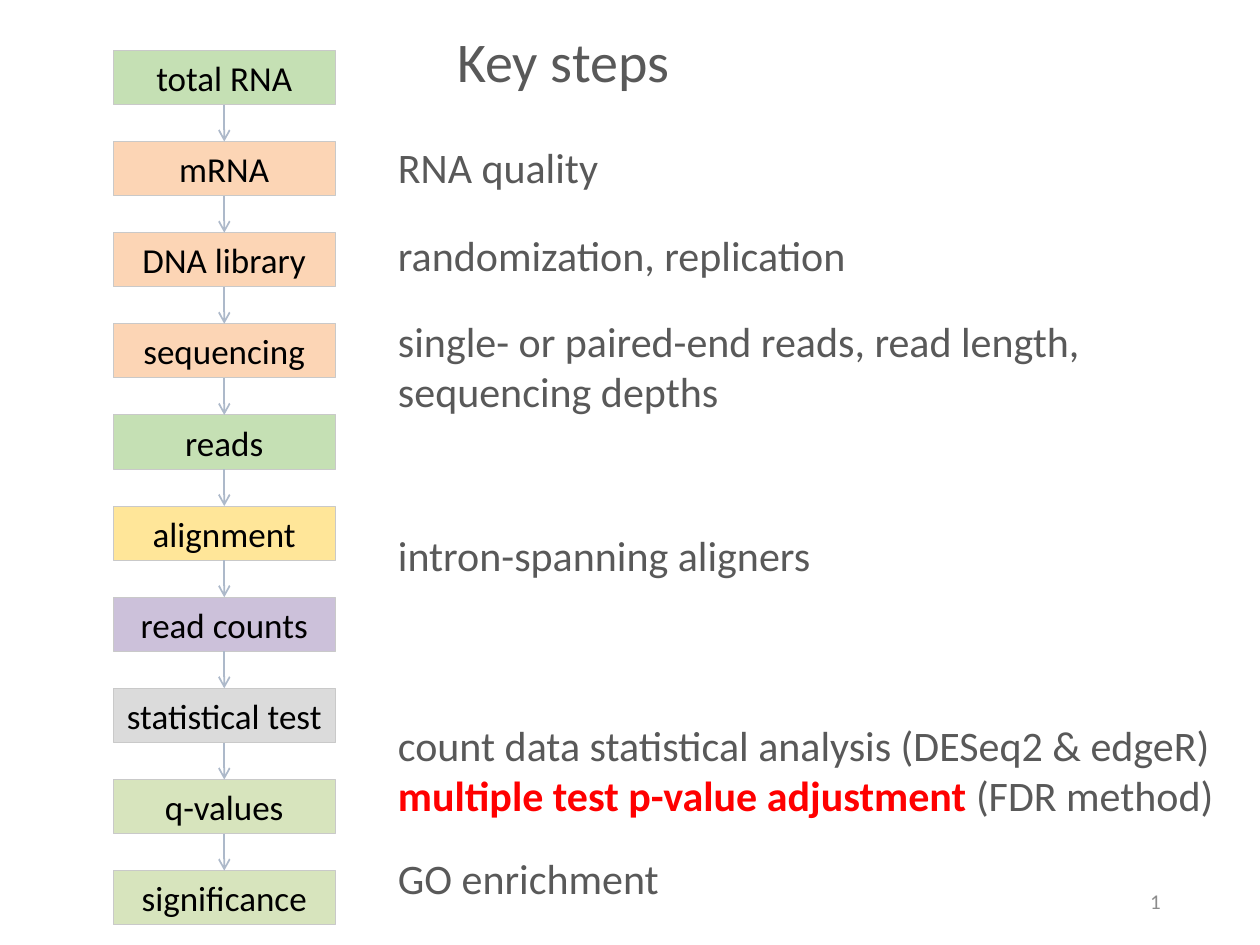
import pptx
import pptx.dml.color
import pptx.enum.shapes
import pptx.enum.text
import pptx.oxml
import pptx.oxml.ns
import pptx.util
from pptx.util import Inches

ALIGN = pptx.enum.text.PP_ALIGN
ANCHOR = pptx.enum.text.MSO_ANCHOR
GREY, RED, BLACK = "595959", "FF0000", "000000"
BOX_LINE, ARROW_LINE = "C9C9C9", "ADB9CA"
GREEN, ORANGE, YELLOW = "C5E0B4", "FCD5B5", "FFE699"
PURPLE, SILVER, OLIVE = "CCC1DA", "DBDBDB", "D7E4BD"

STEPS = [
    ("total RNA", GREEN), ("mRNA", ORANGE), ("DNA library", ORANGE),
    ("sequencing", ORANGE), ("reads", GREEN), ("alignment", YELLOW),
    ("read counts", PURPLE), ("statistical test", SILVER),
    ("q-values", OLIVE), ("significance", OLIVE),
]
STEP_LEFT, STEP_TOP, STEP_WIDTH, STEP_HEIGHT = 0.9, 0.4, 1.76, 0.43
STEP_PITCH = (6.91 - STEP_TOP) / (len(STEPS) - 1)

# Top, width, height and paragraphs; a paragraph is a list of (text, format) runs
NOTE_LEFT = 3.06
NOTES = [
    (1.07, 5, 0.5, [[("RNA quality", {})]]),
    (1.71, 5.85, 0.63, [[("randomization, replication", {})]]),
    (2.39, 6.81, 1.02, [[("single- or paired-end reads, read length,", {})],
                        [("sequencing depths", {})]]),
    (4, 6.04, 0.81, [[("intron-spanning aligners", {})]]),
    (5.6, 6.81, 1.02, [
        [("count data statistical analysis (DESeq2 & edgeR)", {})],
        [("multiple test p-value adjustment ", {"color": RED, "bold": True}),
         ("(FDR method)", {})]]),
    (6.74, 6.81, 0.45, [[("GO enrichment", {})]]),
]


def rgb(value):
    return pptx.dml.color.RGBColor.from_string(value)


def set_attributes(target, values):
    for name, value in values.items():
        setattr(target, name, value)


class SlideBuilder:
    font_name = "Calibri"

    def __init__(self, slide):
        self.slide = slide

    def fill_text(self, shape, paragraphs, size, color, frame_format,
                  paragraph_format):
        frame = shape.text_frame
        set_attributes(frame, {"word_wrap": True,
                               "vertical_anchor": ANCHOR.MIDDLE, **frame_format})
        for index, runs in enumerate(paragraphs):
            paragraph = frame.add_paragraph() if index else frame.paragraphs[0]
            set_attributes(paragraph, paragraph_format)
            for text, run_format in runs:
                run = paragraph.add_run()
                run.text = text
                values = {"color": color, "bold": False, **run_format}
                run.font.color.rgb = rgb(values.pop("color"))
                set_attributes(run.font, {"name": self.font_name,
                                          "size": pptx.util.Pt(size), **values})

    def step(self, left, top, width, height, text, fill):
        shape = self.slide.shapes.add_shape(
            pptx.enum.shapes.MSO_SHAPE.RECTANGLE,
            Inches(left), Inches(top), Inches(width), Inches(height))
        shape.shadow.inherit = False
        shape.fill.solid()
        shape.fill.fore_color.rgb = rgb(fill)
        shape.line.color.rgb = rgb(BOX_LINE)
        shape.line.width = pptx.util.Pt(0.5)
        margins = {f"margin_{side}": 0 for side in ("left", "top", "right", "bottom")}
        self.fill_text(shape, [[(text, {})]], 20, BLACK, margins,
                       {"alignment": ALIGN.CENTER})
        return shape

    def arrow(self, upper, lower):
        connector = self.slide.shapes.add_connector(
            pptx.enum.shapes.MSO_CONNECTOR.STRAIGHT, 0, 0, 0, 0)
        connector.begin_connect(upper, 2)
        connector.end_connect(lower, 0)
        connector.line.color.rgb = rgb(ARROW_LINE)
        connector.line.width = pptx.util.Pt(1)
        line = connector.line._get_or_add_ln()
        line.append(pptx.oxml.parse_xml(
            f'<a:tailEnd {pptx.oxml.ns.nsdecls("a")} type="arrow"/>'))
        line.addnext(pptx.oxml.parse_xml(
            f'<a:effectLst {pptx.oxml.ns.nsdecls("a")}/>'))

    def text(self, left, top, width, height, paragraphs, size=24, color=GREY,
             **paragraph_format):
        box = self.slide.shapes.add_textbox(
            Inches(left), Inches(top), Inches(width), Inches(height))
        self.fill_text(box, paragraphs, size, color, {}, paragraph_format)


def main():
    presentation = pptx.Presentation()
    presentation.slide_width = Inches(10)
    presentation.slide_height = Inches(7.5)
    builder = SlideBuilder(
        presentation.slides.add_slide(presentation.slide_layouts[6]))

    # Workflow column
    steps = [builder.step(STEP_LEFT, STEP_TOP + index * STEP_PITCH,
                          STEP_WIDTH, STEP_HEIGHT, text, fill)
             for index, (text, fill) in enumerate(STEPS)]
    for upper, lower in zip(steps, steps[1:]):
        builder.arrow(upper, lower)

    # Title
    builder.text(3.53, 0.2, 3.26, 0.63, [[("Key steps", {})]], size=32,
                 line_spacing=0.9)

    # Notes beside the steps
    for top, width, height, paragraphs in NOTES:
        builder.text(NOTE_LEFT, top, width, height, paragraphs)

    # Slide number
    builder.text(7.06, 6.95, 2.25, 0.4, [[("1", {})]], size=12, color="8C8C8C",
                 alignment=ALIGN.RIGHT)

    presentation.save("out.pptx")


if __name__ == "__main__":
    main()
